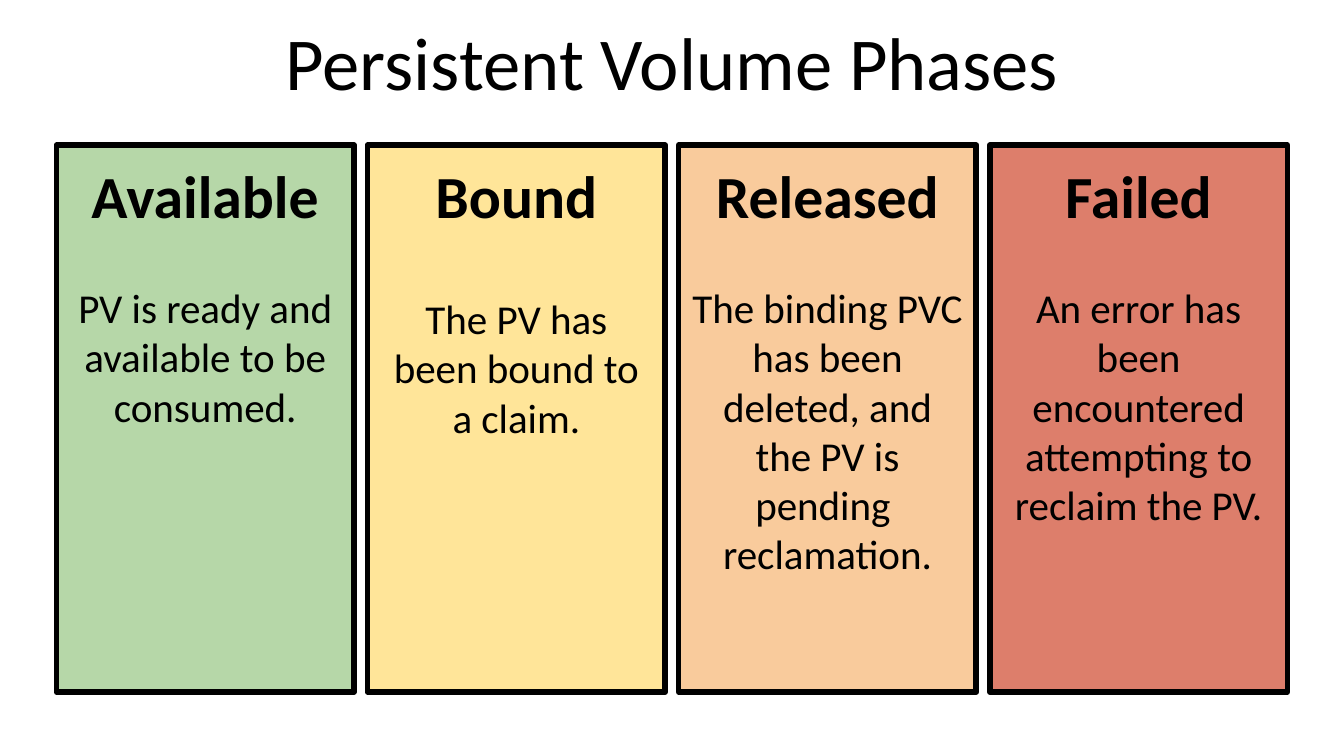
from pptx import Presentation
from pptx import util as u
from pptx.dml.color import RGBColor
from pptx.enum import shapes, text

COLORS = {
    "ink": "000000",
    "page": "FFFFFF",
    "available": "B6D7A8",
    "bound": "FFE599",
    "released": "F9CB9C",
    "failed": "DD7E6B",
}
FONT = "Calibri"
BLANK_LAYOUT = 6

# Name, description, points of space above the description
PHASES = [
    ("Available", "PV is ready and available to be consumed.", 28),
    ("Bound", "The PV has been bound to a claim.", 34),
    ("Released", "The binding PVC has been deleted, and the PV is pending  reclamation.", 28),
    ("Failed", "An error has been encountered attempting to reclaim the PV.", 28),
]


def color(name):
    return RGBColor.from_string(COLORS[name])


def style_paragraph(para, size, bold=False, space_before=0):
    para.alignment = text.PP_ALIGN.CENTER
    para.space_before = u.Pt(space_before)
    for span in para.runs:
        span.font.name = FONT
        span.font.size = u.Pt(size)
        span.font.bold = bold
        span.font.color.rgb = color("ink")


def add_title(page, left, top, width, height, words):
    box = page.shapes.add_textbox(left, top, width, height)
    frame = box.text_frame
    frame.word_wrap = True
    frame.vertical_anchor = text.MSO_ANCHOR.MIDDLE
    frame.text = words
    style_paragraph(frame.paragraphs[0], 40)


def add_phase(page, left, top, width, height, name, description, gap):
    card = page.shapes.add_shape(
        shapes.MSO_SHAPE.RECTANGLE, left, top, width, height)
    card.shadow.inherit = False
    card.fill.solid()
    card.fill.fore_color.rgb = color(name.lower())
    card.line.color.rgb = color("ink")
    card.line.width = u.Pt(3)

    frame = card.text_frame
    frame.word_wrap = True
    frame.vertical_anchor = text.MSO_ANCHOR.TOP
    frame.margin_left = frame.margin_right = u.Inches(0.1)
    frame.margin_top = frame.margin_bottom = u.Inches(0.1)
    frame.text = f"{name}\n{description}"
    heading, body = frame.paragraphs
    style_paragraph(heading, 32, bold=True, space_before=6)
    style_paragraph(body, 22, space_before=gap)


def add_phases(page, left, top, width, height):
    # Equal columns with a narrow gutter
    gutter = u.Inches(0.1)
    column = (width - gutter * (len(PHASES) - 1)) // len(PHASES)
    for index, phase in enumerate(PHASES):
        add_phase(page, left + index * (column + gutter), top,
                  column, height, *phase)


def main():
    # Widescreen page, 16:9
    deck = Presentation()
    deck.slide_width = u.Inches(10)
    deck.slide_height = deck.slide_width * 9 // 16
    page = deck.slides.add_slide(deck.slide_layouts[BLANK_LAYOUT])
    page.background.fill.solid()
    page.background.fill.fore_color.rgb = color("page")

    # Title band
    add_title(page, u.Inches(0.5), u.Inches(-0.02), u.Inches(9), u.Inches(0.94),
              "Persistent Volume Phases")

    # Row of phase cards
    add_phases(page, u.Inches(0.42), u.Inches(1.08), u.Inches(9.16), u.Inches(4.07))

    deck.save("out.pptx")


if __name__ == "__main__":
    main()
